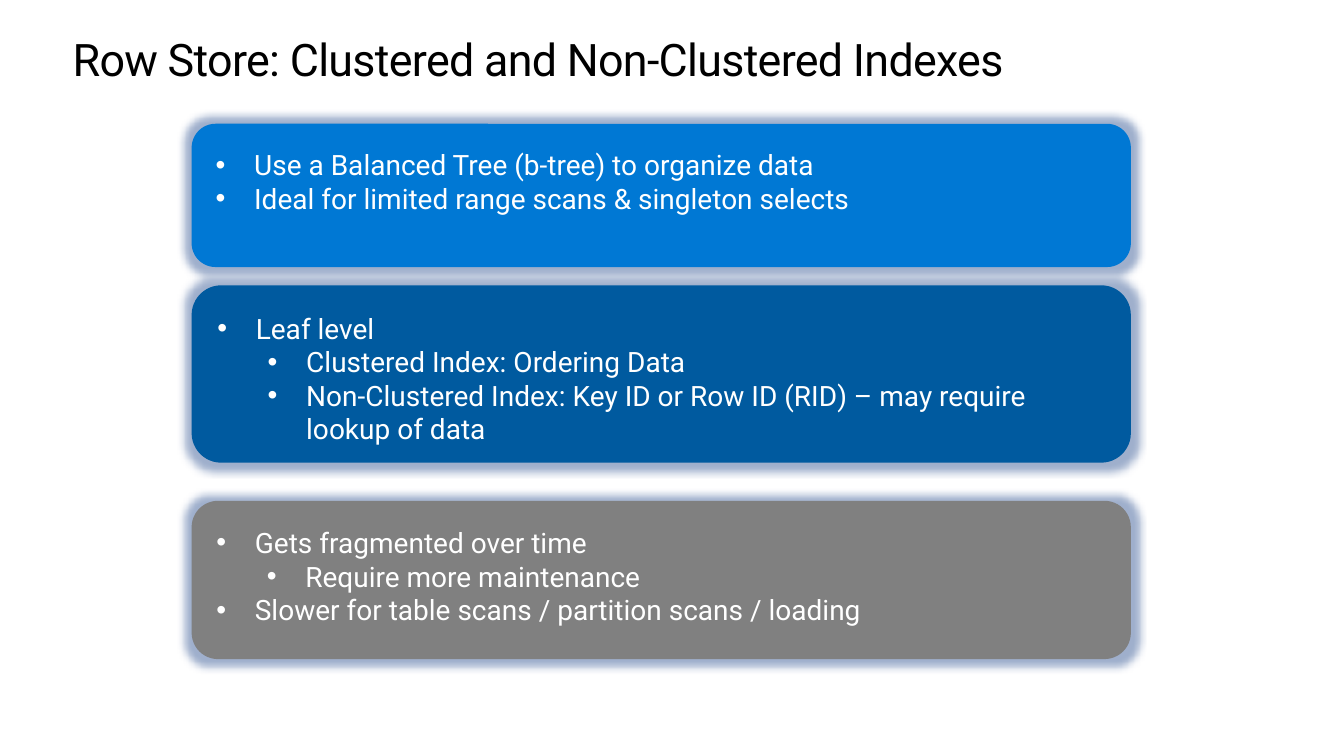
from dataclasses import dataclass

from pptx import Presentation
from pptx.dml.color import RGBColor
from pptx.enum.shapes import MSO_SHAPE as Shape
from pptx.enum.text import MSO_ANCHOR as Anchor, PP_ALIGN as Align
from pptx.oxml.ns import qn
from pptx.oxml.xmlchemy import OxmlElement
from pptx.util import Cm, Pt


@dataclass(frozen=True)
class Theme:
    font: str = "Roboto"
    title_size: float = 32
    body_size: float = 20
    black: str = "000000"
    white: str = "FFFFFF"
    blue: str = "0078D4"
    dark_blue: str = "005A9F"
    gray: str = "808080"
    glow: str = "0F3880"


THEME = Theme()
PANEL_LEFT, PANEL_WIDTH, PANEL_INSET = 4.83, 23.67, 0.43
BULLET_INDENT, LEVEL_STEP = 0.97, 1.27

# Panels: top, height, fill, bullets as (level, text)
PANELS = [
    (3.12, 3.61, THEME.blue, [
        (0, "Use a Balanced Tree (b-tree) to organize data"),
        (0, "Ideal for limited range scans & singleton selects"),
    ]),
    (7.19, 4.47, THEME.dark_blue, [
        (0, "Leaf level"),
        (1, "Clustered Index: Ordering Data"),
        (1, "Non-Clustered Index: Key ID or Row ID (RID) – may require lookup of data"),
    ]),
    (12.62, 3.99, THEME.gray, [
        (0, "Gets fragmented over time"),
        (1, "Require more maintenance"),
        (0, "Slower for table scans / partition scans / loading"),
    ]),
]


def add_element(parent, tag, **attributes):
    element = OxmlElement(tag)
    for name, value in attributes.items():
        element.set(name, str(value))
    parent.append(element)
    return element


def add_run(paragraph, text, size, color):
    run = paragraph.add_run()
    run.text = text
    run.font.name = THEME.font
    run.font.size = Pt(size)
    run.font.color.rgb = RGBColor.from_string(color)
    return run


def prepare_frame(shape, inset):
    frame = shape.text_frame
    frame.word_wrap = True
    frame.vertical_anchor = Anchor.TOP
    frame.margin_left = frame.margin_right = Cm(inset)
    frame.margin_top = frame.margin_bottom = Cm(inset)
    return frame


def add_title(slide, text):
    box = slide.shapes.add_textbox(Cm(1.83), Cm(0.89), Cm(30.23), Cm(1.27))
    paragraph = prepare_frame(box, 0).paragraphs[0]
    paragraph.line_spacing = Pt(36.2)
    run = add_run(paragraph, text, THEME.title_size, THEME.black)
    run.font._element.set("spc", "-50")


def add_glow(shape):
    shape.shadow.inherit = False
    effects = shape._element.spPr.find(qn("a:effectLst"))
    glow = add_element(effects, "a:glow", rad=Pt(11))
    color = add_element(glow, "a:srgbClr", val=THEME.glow)
    add_element(color, "a:alpha", val=40000)


def add_bullet(paragraph, level, text):
    paragraph.level = level
    paragraph.alignment = Align.LEFT
    properties = paragraph._p.get_or_add_pPr()
    properties.set("marL", str(Cm(BULLET_INDENT + level * LEVEL_STEP)))
    properties.set("indent", str(-Cm(BULLET_INDENT)))
    add_element(properties, "a:buFont", typeface="Arial")
    add_element(properties, "a:buChar", char="•")
    add_run(paragraph, text, THEME.body_size, THEME.white)


def add_panel(slide, top, height, fill, bullets):
    panel = slide.shapes.add_shape(
        Shape.ROUNDED_RECTANGLE,
        Cm(PANEL_LEFT), Cm(top), Cm(PANEL_WIDTH), Cm(height))
    panel.fill.solid()
    panel.fill.fore_color.rgb = RGBColor.from_string(fill)
    panel.line.fill.background()
    add_glow(panel)
    frame = prepare_frame(panel, PANEL_INSET)
    for index, (level, text) in enumerate(bullets):
        paragraph = frame.add_paragraph() if index else frame.paragraphs[0]
        add_bullet(paragraph, level, text)


def main():
    presentation = Presentation()
    presentation.slide_width, presentation.slide_height = Cm(33.87), Cm(19.05)
    slide = presentation.slides.add_slide(presentation.slide_layouts[6])

    # Heading
    add_title(slide, "Row Store: Clustered and Non-Clustered Indexes")

    # Stacked panels
    for panel in PANELS:
        add_panel(slide, *panel)

    presentation.save("out.pptx")


if __name__ == "__main__":
    main()
